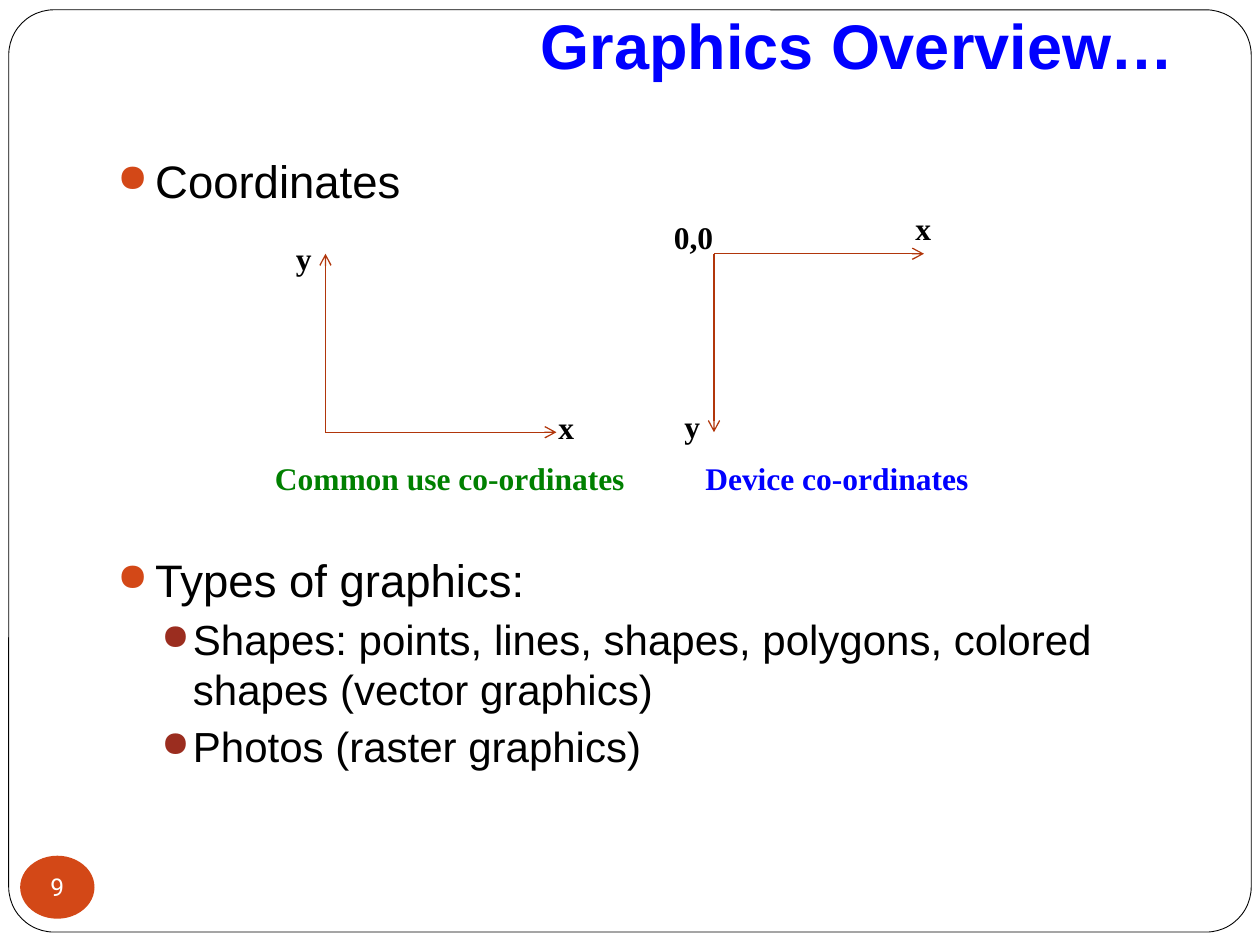
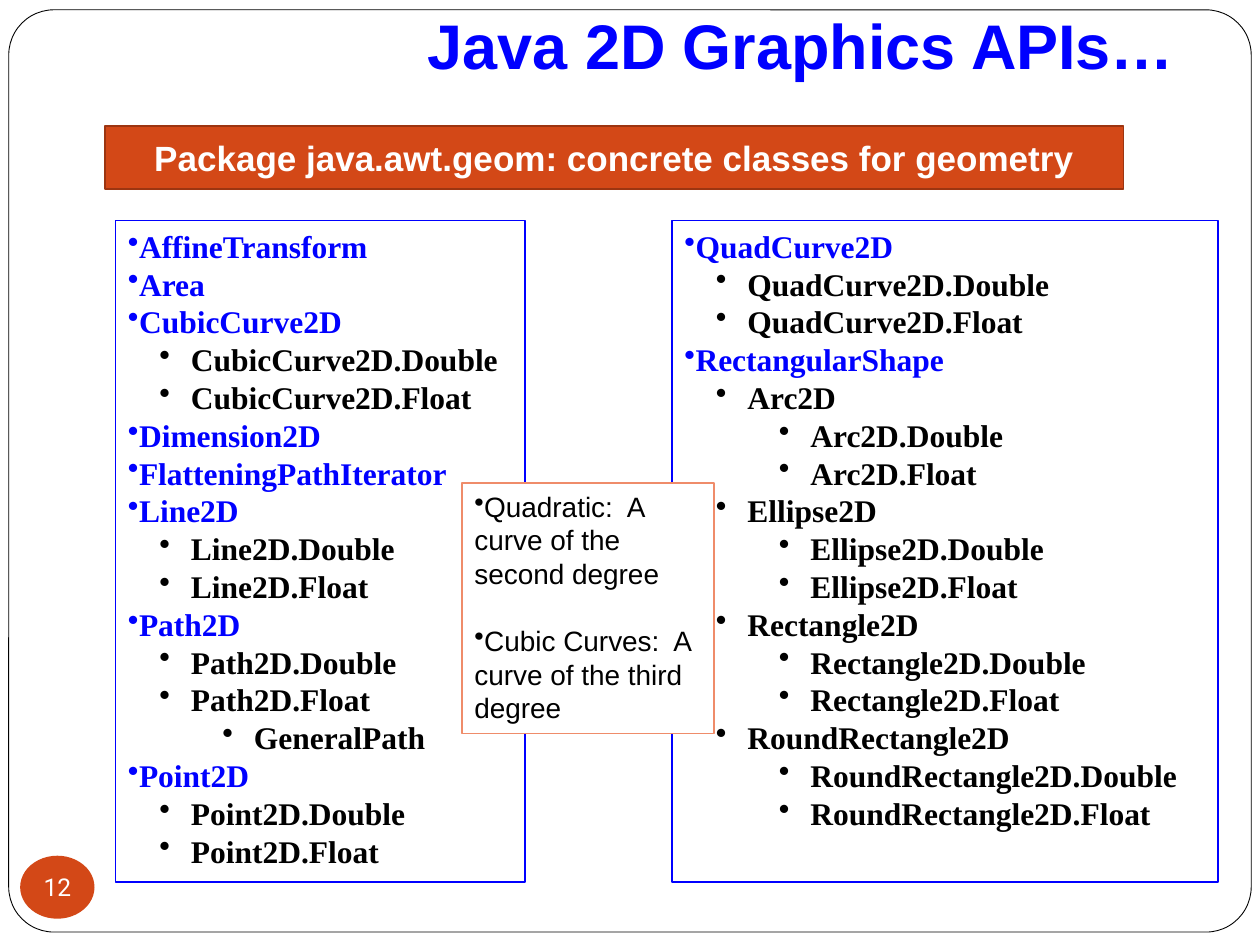
from lxml.etree import SubElement
from pptx import Presentation
from pptx.dml.color import RGBColor
from pptx.enum.shapes import MSO_CONNECTOR as Connector, MSO_SHAPE as Shape
from pptx.enum.text import MSO_ANCHOR as Anchor, PP_ALIGN as Align
from pptx.oxml.ns import qn
from pptx.util import Pt

COLORS = {
    "white": "FFFFFF", "black": "000000", "blue": "0000FF", "green": "008000",
    "orange": "D34817", "rust": "9B2D1F", "band_edge": "9C3511",
    "axis": "B1360B", "note_edge": "EF8C6A",
}
SANS, SERIF, NUMERAL = "Arial", "Times New Roman", "Roboto"
LINE_RATIO = 1.2  # line height over text size

# Class lists: (nesting level, class name)
LEFT_CLASSES = [
    (0, "AffineTransform"), (0, "Area"), (0, "CubicCurve2D"),
    (1, "CubicCurve2D.Double"), (1, "CubicCurve2D.Float"),
    (0, "Dimension2D"), (0, "FlatteningPathIterator"), (0, "Line2D"),
    (1, "Line2D.Double"), (1, "Line2D.Float"), (0, "Path2D"),
    (1, "Path2D.Double"), (1, "Path2D.Float"), (2, "GeneralPath"),
    (0, "Point2D"), (1, "Point2D.Double"), (1, "Point2D.Float"),
]
RIGHT_CLASSES = [
    (0, "QuadCurve2D"), (1, "QuadCurve2D.Double"), (1, "QuadCurve2D.Float"),
    (0, "RectangularShape"),
]
for shape_class in ("Arc2D", "Ellipse2D", "Rectangle2D", "RoundRectangle2D"):
    RIGHT_CLASSES += [(1, shape_class), (2, shape_class + ".Double"),
                      (2, shape_class + ".Float")]


def rgb(name):
    """Look up a palette colour."""
    return RGBColor.from_string(COLORS[name])


def add_panel(page, kind, area, fill=None, line=None, width=0.75):
    """Add a preset shape with plain fill and outline."""
    panel = page.shapes.add_shape(kind, *map(Pt, area))
    panel.shadow.inherit = False
    if fill:
        panel.fill.solid()
        panel.fill.fore_color.rgb = rgb(fill)
    else:
        panel.fill.background()
    if line:
        panel.line.color.rgb = rgb(line)
        panel.line.width = Pt(width)
    else:
        panel.line.fill.background()
    panel.text_frame.word_wrap = True
    panel.text_frame.vertical_anchor = Anchor.TOP
    return panel


def add_box(page, area):
    """Add an empty wrapping text box."""
    box = page.shapes.add_textbox(*map(Pt, area))
    box.text_frame.word_wrap = True
    return box


def add_para(box, text, size, font, color, bold=False, align=Align.LEFT, before=0):
    """Write one paragraph, using the empty first one if there is one."""
    frame = box.text_frame
    para = frame.paragraphs[0]
    if para.runs:
        para = frame.add_paragraph()
    para.alignment = align
    para.line_spacing = Pt(size * LINE_RATIO)
    para.space_before = Pt(before)
    span = para.add_run()
    span.text = text
    span.font.size = Pt(size)
    span.font.name = font
    span.font.bold = bold
    span.font.color.rgb = rgb(color)
    return para


def add_bullet(para, char, level=0, left=0, hang=0, color=None, percent=None):
    """Give a paragraph a bullet with a hanging indent."""
    para.level = level
    props = para._p.get_or_add_pPr()
    props.set("marL", str(Pt(left)))
    props.set("indent", str(-Pt(hang)))
    if color:
        holder = SubElement(props, qn("a:buClr"))
        SubElement(holder, qn("a:srgbClr")).set("val", COLORS[color])
    if percent:
        SubElement(props, qn("a:buSzPct")).set("val", str(percent * 1000))
    SubElement(props, qn("a:buChar")).set("char", char)


def add_topic(box, text):
    """Add a first-level body point."""
    para = add_para(box, text, 26, SANS, "black", before=5.8)
    add_bullet(para, "●", 0, 21.6, 21.6, "orange", 85)


def add_subtopic(box, text):
    """Add a second-level body point."""
    para = add_para(box, text, 24, SANS, "black", before=3.7)
    add_bullet(para, "●", 1, 43.2, 18, "rust", 85)


def add_label(page, text, left, top, width, color="black"):
    """Add a bold serif diagram label."""
    add_para(add_box(page, (left, top, width, 28.8)), text, 18, SERIF, color, True)


def add_axis(page, start, end):
    """Draw an axis with an open arrowhead at its end."""
    axis = page.shapes.add_connector(Connector.STRAIGHT, *map(Pt, start + end))
    axis.line.color.rgb = rgb("axis")
    axis.line.width = Pt(0.75)
    SubElement(axis.line._get_or_add_ln(), qn("a:tailEnd")).set("type", "arrow")
    SubElement(axis._element.spPr, qn("a:effectLst"))


def add_class_list(page, left, width, classes):
    """Add an outlined, nested list of class names."""
    panel = add_panel(page, Shape.RECTANGLE, (left, 126, width, 378), line="blue")
    for level, name in classes:
        color = "black" if level else "blue"
        para = add_para(panel, name, 18, SERIF, color, True)
        add_bullet(para, "•", level, 36 * level, 18 if level else 0)


def add_page(deck, title, number):
    """Add a blank page with frame, title and page number."""
    page = deck.slides.add_slide(deck.slide_layouts[6])
    frame = add_panel(page, Shape.ROUNDED_RECTANGLE, (5, 5.6, 710, 527),
                      "white", "black", 0.5)
    frame.adjustments[0] = 0.049

    heading = add_box(page, (72, 0, 606.2, 54))
    heading.text_frame.vertical_anchor = Anchor.BOTTOM
    heading.text_frame.margin_bottom = Pt(7.2)
    add_para(heading, title, 36, SANS, "blue", True, Align.RIGHT)

    badge = add_panel(page, Shape.OVAL, (11.5, 489, 42.5, 36), "orange")
    inner = badge.text_frame
    inner.word_wrap = False
    inner.vertical_anchor = Anchor.MIDDLE
    inner.margin_left = inner.margin_right = inner.margin_top = inner.margin_bottom = 0
    add_para(badge, str(number), 14, NUMERAL, "white", align=Align.CENTER)
    return page


def build_overview(deck):
    """Build the page on coordinates and types of graphics."""
    page = add_page(deck, "Graphics Overview…", 9)
    types = add_box(page, (60, 312, 612, 144))
    add_topic(types, "Types of graphics:")
    add_subtopic(types, "Shapes: points, lines, shapes, polygons, colored "
                        "shapes (vector graphics)")
    add_subtopic(types, "Photos (raster graphics)")
    add_topic(add_box(page, (60, 84, 180, 42)), "Coordinates")

    top, bottom = 145, 247
    common, device = (186, bottom), (408, top)
    add_axis(page, common, (186, top))
    add_axis(page, common, (318, bottom))
    add_axis(page, device, (408, bottom))
    add_axis(page, device, (528, top))

    add_label(page, "Common use co-ordinates", 150, 259, 222, "green")
    add_label(page, "Device co-ordinates", 396, 259, 174, "blue")
    add_label(page, "0,0", 378, 121, 42)
    for text, left, y in (("y", 384, 229), ("x", 516, 116),
                          ("x", 312, 229.5), ("y", 162, 133)):
        add_label(page, text, left, y, 36)


def build_geometry(deck):
    """Build the page listing the geometry classes."""
    page = add_page(deck, "Java 2D Graphics APIs…", 12)
    band = add_panel(page, Shape.RECTANGLE, (60, 72, 582, 36), "orange", "band_edge", 1)
    band.text_frame.vertical_anchor = Anchor.MIDDLE
    add_para(band, "Package java.awt.geom: concrete classes for geometry",
             20, SANS, "white", True, Align.CENTER)

    add_class_list(page, 66, 234, LEFT_CLASSES)
    add_class_list(page, 384, 312, RIGHT_CLASSES)

    note = add_panel(page, Shape.RECTANGLE, (264, 276, 144, 143), "white", "note_edge")
    for text, before in (("Quadratic:  A curve of the second degree", 0),
                         ("Cubic Curves:  A curve of the third degree", 19.2)):
        add_bullet(add_para(note, text, 16, SANS, "black", before=before), "•")


def main():
    """Build and save the deck."""
    deck = Presentation()
    deck.slide_width, deck.slide_height = Pt(720), Pt(540)
    build_overview(deck)
    build_geometry(deck)
    deck.save("out.pptx")


main()
